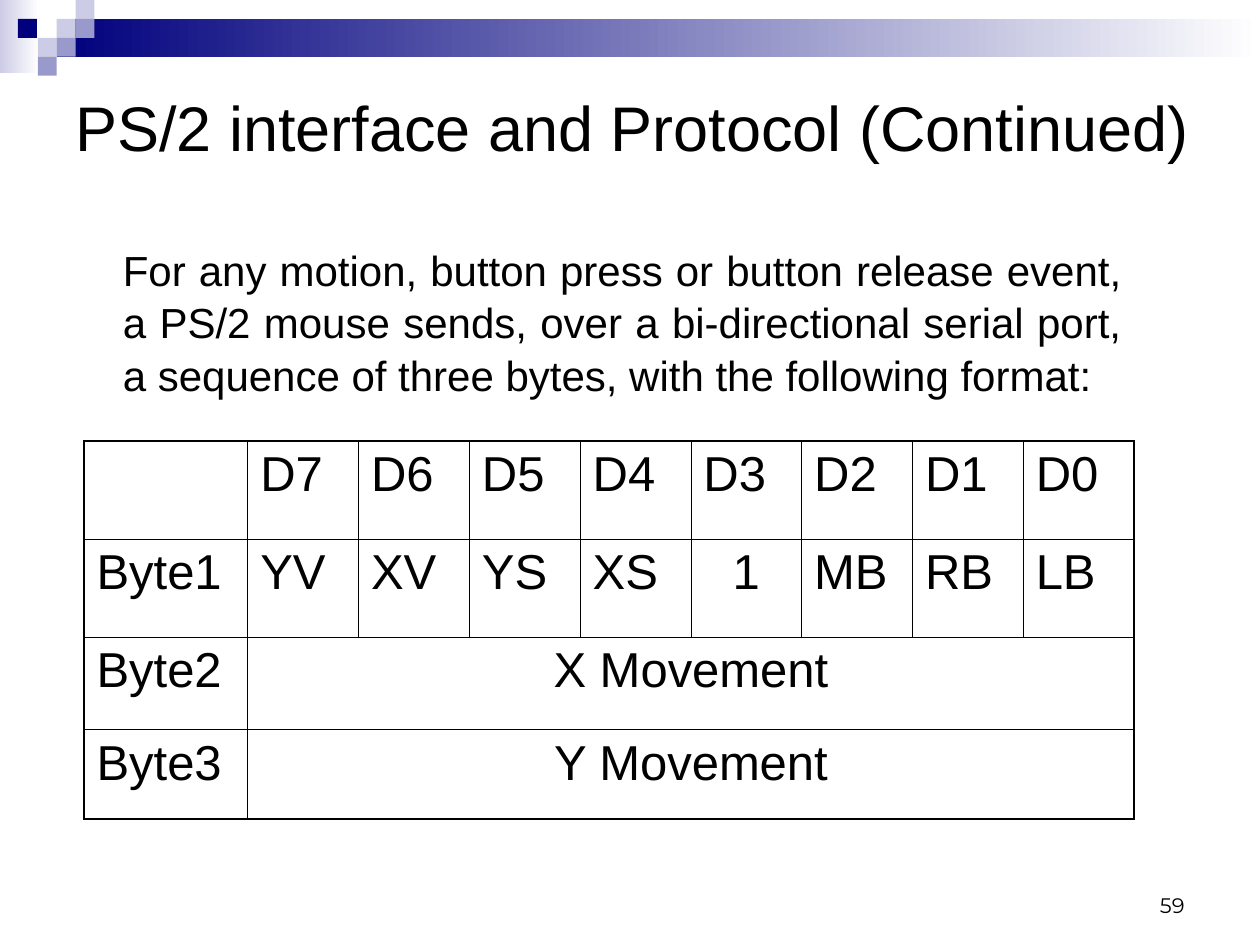
from dataclasses import dataclass

from lxml import etree
from pptx import Presentation
from pptx.dml.color import RGBColor
from pptx.enum import shapes, text
from pptx.oxml import ns
from pptx.util import Pt


@dataclass(frozen=True)
class Theme:
    navy: str = "00007D"
    mid: str = "9999CC"
    light: str = "CCCCE6"
    white: str = "FFFFFF"
    ink: str = "000000"
    font: str = "Arial"
    number_font: str = "Montserrat"
    title_size: int = 36
    body_size: int = 24
    table_size: int = 28
    number_size: int = 12
    outer_line: float = 1.08
    inner_line: float = 0.45


THEME = Theme()
TILE = 10.8
BIT_ROWS = [
    ["", "D7", "D6", "D5", "D4", "D3", "D2", "D1", "D0"],
    ["Byte1", "YV", "XV", "YS", "XS", "1", "MB", "RB", "LB"],
    ["Byte2", "X Movement"],
    ["Byte3", "Y Movement"],
]
ROW_HEIGHTS = [56, 56, 53, 51]
LABEL_WIDTH, BIT_WIDTH = 93.6, 63.3


def add_block(slide, left, top, width, height, *colors):
    """Rectangle with a solid fill, or a left-to-right gradient for two colours."""
    shape = slide.shapes.add_shape(
        shapes.MSO_SHAPE.RECTANGLE, Pt(left), Pt(top), Pt(width), Pt(height))
    shape.shadow.inherit = False
    shape.line.fill.background()
    if len(colors) == 1:
        shape.fill.solid()
        shape.fill.fore_color.rgb = RGBColor.from_string(colors[0])
        return
    shape.fill.gradient()
    shape.fill.gradient_angle = 0
    for stop, color in zip(shape.fill.gradient_stops, colors):
        stop.color.rgb = RGBColor.from_string(color)


def add_banner(slide):
    add_block(slide, 0, 0, 22.3, 41.8, THEME.light, THEME.white)
    add_block(slide, 3 * TILE, TILE, 687.6, 2 * TILE, THEME.navy, THEME.white)
    tiles = [
        (3, 1, THEME.light), (4, 0, THEME.light), (4, 1, THEME.mid),
        (2, 2, THEME.light), (0.95, 1, THEME.navy), (3, 2, THEME.mid),
        (2, 3, THEME.mid),
    ]
    for column, row, color in tiles:
        add_block(slide, column * TILE, row * TILE, TILE, TILE, color)


def style_paragraph(paragraph, size, font=THEME.font, align=text.PP_ALIGN.LEFT):
    paragraph.alignment = align
    paragraph.font.size = Pt(size)
    paragraph.font.name = font
    paragraph.font.color.rgb = RGBColor.from_string(THEME.ink)


def add_text(slide, box, words, size, anchor, **style):
    shape = slide.shapes.add_textbox(*map(Pt, box))
    frame = shape.text_frame
    frame.word_wrap = True
    frame.vertical_anchor = anchor
    frame.text = words
    style_paragraph(frame.paragraphs[0], size, **style)
    return frame


def set_borders(cell, outer_sides):
    properties = cell._tc.get_or_add_tcPr()
    for side in "LRTB":
        width = THEME.outer_line if side in outer_sides else THEME.inner_line
        line = etree.SubElement(properties, ns.qn(f"a:ln{side}"), w=str(Pt(width)))
        fill = etree.SubElement(line, ns.qn("a:solidFill"))
        etree.SubElement(fill, ns.qn("a:srgbClr"), val=THEME.ink)


def add_byte_table(slide, left, top):
    columns = len(BIT_ROWS[0])
    widths = [LABEL_WIDTH] + [BIT_WIDTH] * (columns - 1)
    table = slide.shapes.add_table(
        len(BIT_ROWS), columns, Pt(left), Pt(top),
        Pt(sum(widths)), Pt(sum(ROW_HEIGHTS))).table
    table.first_row = table.horz_banding = False
    for column, width in zip(table.columns, widths):
        column.width = Pt(width)
    for r, (words, height) in enumerate(zip(BIT_ROWS, ROW_HEIGHTS)):
        table.rows[r].height = Pt(height)
        merged = len(words) < columns
        if merged:
            table.cell(r, 1).merge(table.cell(r, columns - 1))
        for c in range(columns):
            cell = table.cell(r, c)
            sides = "L" if c == 0 else ""
            sides += "R" if c == columns - 1 or (merged and c) else ""
            sides += "T" if r == 0 else ""
            sides += "B" if r == len(BIT_ROWS) - 1 else ""
            set_borders(cell, sides)
            cell.fill.background()
            if c < len(words):
                cell.text = words[c]
                centred = words[c] == "1" or (merged and c)
                align = text.PP_ALIGN.CENTER if centred else text.PP_ALIGN.LEFT
                style_paragraph(cell.text_frame.paragraphs[0],
                                THEME.table_size, align=align)


def main():
    presentation = Presentation()
    presentation.slide_width, presentation.slide_height = Pt(720), Pt(540)
    slide = presentation.slides.add_slide(presentation.slide_layouts[6])
    add_banner(slide)

    title = add_text(slide, (36, 36, 666, 60), "PS/2 interface and Protocol (Continued)",
                     THEME.title_size, text.MSO_ANCHOR.MIDDLE)
    title.margin_top, title.margin_bottom = Pt(12), Pt(0)

    body = add_text(
        slide, (36, 132, 612, 384),
        "For any motion, button press or button release event, a PS/2 mouse sends, "
        "over a bi-directional serial port, a sequence of three bytes, "
        "with the following format:",
        THEME.body_size, text.MSO_ANCHOR.TOP, align=text.PP_ALIGN.JUSTIFY)
    body.margin_left, body.margin_top = Pt(34.2), Pt(6)
    body.paragraphs[0].line_spacing = 1.05

    add_byte_table(slide, 48, 252)
    add_text(slide, (516, 492, 168, 36), "59", THEME.number_size,
             text.MSO_ANCHOR.BOTTOM, font=THEME.number_font, align=text.PP_ALIGN.RIGHT)
    presentation.save("out.pptx")


if __name__ == "__main__":
    main()
